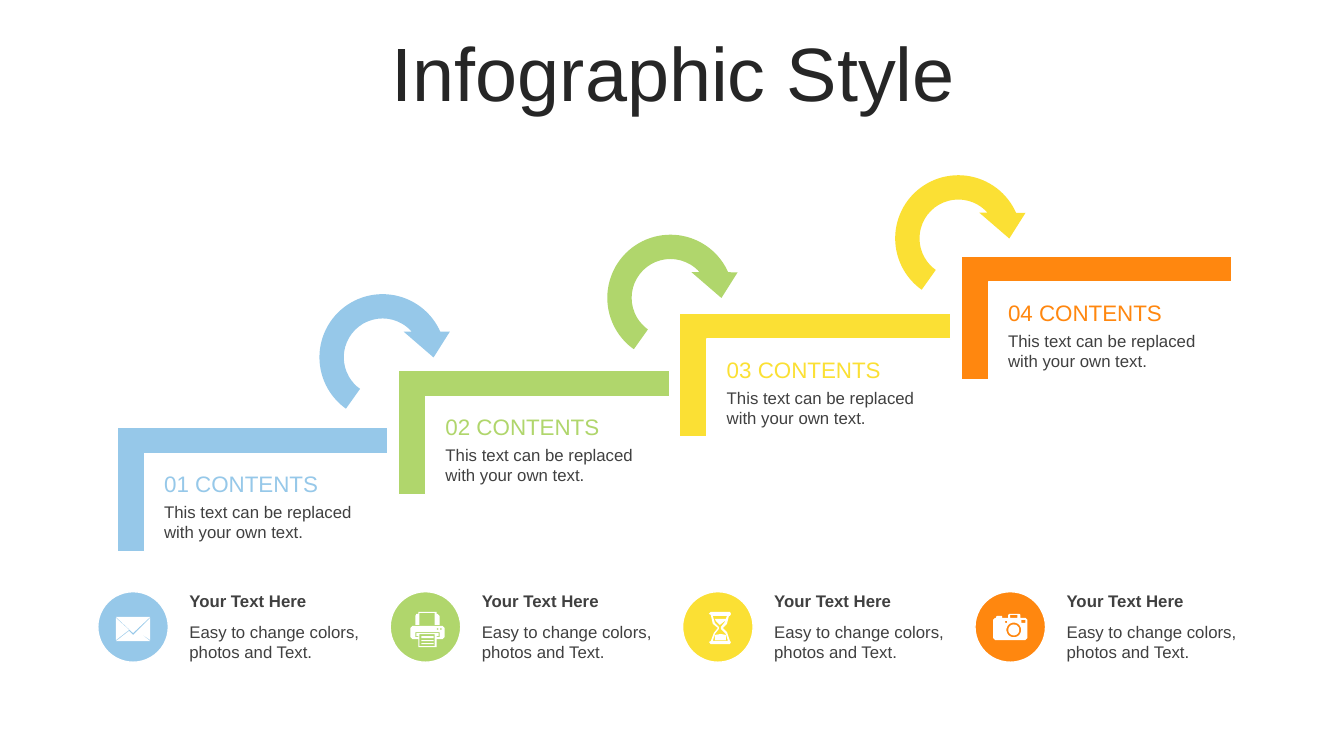
from dataclasses import dataclass
from math import cos, pi, sin

from pptx import Presentation
from pptx.dml.color import RGBColor
from pptx.enum.shapes import MSO_SHAPE as Preset
from pptx.enum.text import MSO_ANCHOR as Anchor, MSO_AUTO_SIZE as AutoSize, PP_ALIGN as Align
from pptx.util import Inches, Pt


@dataclass(frozen=True)
class Theme:
    font: str = "Arial"
    title_color: str = "262626"
    text_color: str = "404040"
    white: str = "FFFFFF"
    accents: tuple = ("96C8E9", "B0D66C", "FBE034", "FF870F")
    title_size: int = 54
    heading_size: int = 16
    text_size: int = 12


# Icon outlines, in hundredths of an inch from the corner of the badge
def rect(left, top, right, bottom):
    return [(left, top), (right, top), (right, bottom), (left, bottom)]


def circle(x, y, radius, count=32):
    angles = [2 * pi * i / count for i in range(count)]
    return [(x + radius * cos(a), y + radius * sin(a)) for a in angles]


ENVELOPE = [
    [(39, 39), (52, 49), (18, 49), (31, 39), (35, 43)],
    [(52, 26), (52, 48), (39, 39)],
    [(18, 26), (31, 38), (18, 48)],
    [(18, 25), (52, 25), (35, 41)],
]
PRINTER = [
    rect(31, 51, 43, 52), rect(31, 48, 43, 49), rect(31, 44, 43, 46),
    rect(29, 42, 44, 54),
    [(25, 40), (25, 45), (28, 45), (28, 44), (26, 44), (26, 41), (48, 41),
     (48, 44), (46, 44), (46, 45), (49, 45), (49, 40)],
    circle(50.3, 37, 0.9), circle(47, 37, 0.9),
    [(22, 34), (52, 34), (54, 36), (54, 45), (52, 47), (46, 47), (46, 55),
     (28, 55), (28, 47), (22, 47), (20, 45), (20, 36)],
    [(28, 20), (46, 20), (46, 22), (47, 22), (49, 24), (49, 33), (44, 33),
     (44, 21), (29, 21), (29, 33), (25, 33), (25, 24), (26, 22), (28, 22)],
]
HOURGLASS = [
    [(38, 42), (43, 43), (43, 48), (32, 48), (32, 43)],
    [(32, 27), (43, 27), (42, 29), (37, 33), (33, 29)],
    [(30, 24), (32, 31), (36, 35), (36, 37), (32, 42), (30, 49), (45, 49),
     (43, 42), (38, 37), (38, 35), (42, 30), (44, 24)],
    [(28, 20), (47, 20), (48, 22), (47, 24), (46, 24), (44, 32), (40, 36),
     (44, 40), (47, 49), (48, 50), (47, 52), (28, 52), (26, 50), (28, 49),
     (31, 41), (35, 36), (30, 32), (28, 23), (26, 22)],
]
CAMERA = [
    circle(38.5, 38, 5.4), circle(38.5, 38, 7.3),
    rect(30, 29, 32, 31), rect(46, 28, 50, 31), rect(35, 23, 42, 26),
    [(34, 22), (44, 22), (45, 23), (45, 26), (50, 26), (52, 28), (52, 46),
     (50, 48), (20, 48), (18, 46), (18, 28), (20, 26), (21, 26), (21, 25),
     (22, 24), (27, 24), (27, 26), (33, 26), (33, 23)],
]


def write(frame, text, *, font, size, color, bold=False, align=Align.LEFT,
          anchor=Anchor.TOP, fit=AutoSize.SHAPE_TO_FIT_TEXT, spacing=None):
    frame.word_wrap = True
    frame.auto_size = fit
    frame.vertical_anchor = anchor
    frame.text = text
    paragraph = frame.paragraphs[0]
    paragraph.alignment = align
    paragraph.line_spacing = spacing
    paragraph.font.name = font
    paragraph.font.size = Pt(size)
    paragraph.font.bold = bold
    paragraph.font.color.rgb = RGBColor.from_string(color)


class StairSlide:
    def __init__(self, deck, theme):
        self.theme = theme
        self.slide = deck.slides.add_slide(deck.slide_layouts[5])
        self.shapes = self.slide.shapes

    def title(self, text, left, top, width, height):
        title = self.shapes.title
        title.left, title.top = Inches(left), Inches(top)
        title.width, title.height = Inches(width), Inches(height)
        write(title.text_frame, text, font=self.theme.font,
              size=self.theme.title_size, color=self.theme.title_color,
              align=Align.CENTER, anchor=Anchor.MIDDLE, fit=AutoSize.NONE,
              spacing=0.9)

    def text(self, text, left, top, width, height, **style):
        box = self.shapes.add_textbox(
            Inches(left), Inches(top), Inches(width), Inches(height))
        look = dict(font=self.theme.font, size=self.theme.text_size,
                    color=self.theme.text_color)
        write(box.text_frame, text, **(look | style))

    def paint(self, shape, color, outlined=False):
        shape.shadow.inherit = False
        shape.fill.solid()
        shape.fill.fore_color.rgb = RGBColor.from_string(color)
        if outlined:
            shape.line.color.rgb = RGBColor.from_string(self.theme.white)
            shape.line.width = Pt(1)
        else:
            shape.line.fill.background()

    def preset(self, kind, left, top, width, height, color, adjust=(),
               rotation=0, outlined=True):
        shape = self.shapes.add_shape(
            kind, Inches(left), Inches(top), Inches(width), Inches(height))
        for i, value in enumerate(adjust):
            shape.adjustments[i] = value
        shape.rotation = rotation
        self.paint(shape, color, outlined)

    def icon(self, outlines, left, top):
        # Ten drawing units to each hundredth of an inch
        scaled = [[(x * 10, y * 10) for x, y in points] for points in outlines]
        builder = self.shapes.build_freeform(*scaled[0][0], scale=Inches(0.001))
        for i, points in enumerate(scaled):
            if i:
                builder.move_to(*points[0])
            builder.add_line_segments(points[1:], close=True)
        self.paint(builder.convert_to_shape(Inches(left), Inches(top)),
                   self.theme.white)

    def step(self, index, color):
        across, rise = 2.79 * index, 1.7 / 3 * index
        self.preset(Preset.CORNER, 1.89 + across, 3.51 - rise, 1.23, 2.69,
                    color, adjust=(0.221, 0.21), rotation=90)
        self.text(f"{index + 1:02} CONTENTS", 1.53 + across, 4.61 - rise,
                  2.13, 0.37, size=self.theme.heading_size, color=color,
                  anchor=Anchor.BOTTOM)
        self.text("This text can be replaced with your own text.",
                  1.53 + across, 4.93 - rise, 2.14, 0.5)

    def arrow(self, index, color):
        self.preset(Preset.CIRCULAR_ARROW, 3.06 + 2.855 * index,
                    2.81 - 0.59 * index, 1.47, 1.47, color, outlined=False,
                    adjust=(0.164, 18.214, 197.903, 75.279, 0.156))

    def badge(self, index, color, outlines):
        left, top = 0.97 + 2.9 * index, 5.87
        self.preset(Preset.OVAL, left, top, 0.7, 0.7, color)
        self.icon(outlines, left, top)
        self.text("Your Text Here", left + 0.81, 5.81, 1.95, 0.3, bold=True)
        self.text("Easy to change colors, photos and Text.",
                  left + 0.81, 6.12, 1.95, 0.5)


def main():
    deck = Presentation()
    deck.slide_width, deck.slide_height = Inches(13.33), Inches(7.5)
    theme = Theme()
    stairs = StairSlide(deck, theme)
    stairs.title("Infographic Style", 0.35, 0.37, 12.66, 0.79)

    # Rising steps and the badges below them
    icons = (ENVELOPE, PRINTER, HOURGLASS, CAMERA)
    for index, (color, outlines) in enumerate(zip(theme.accents, icons)):
        stairs.step(index, color)
        stairs.badge(index, color, outlines)

    # Arrows from each step to the next
    for index, color in enumerate(theme.accents[:-1]):
        stairs.arrow(index, color)

    deck.save("out.pptx")


if __name__ == "__main__":
    main()
